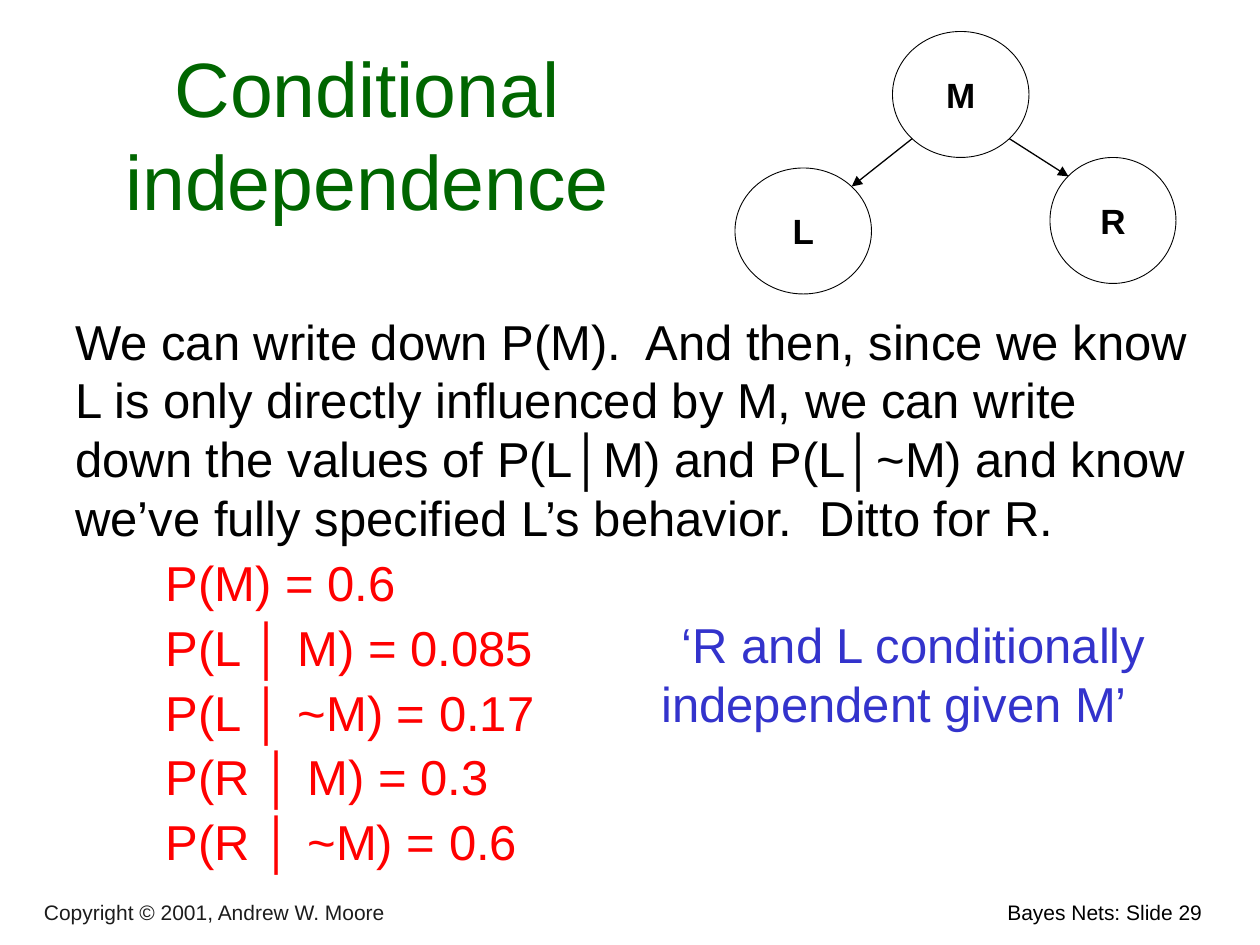
import pptx
import pptx.util
import pptx.dml.color
import pptx.enum.shapes
import pptx.enum.text
import pptx.oxml
import pptx.oxml.ns

Pt = pptx.util.Pt
ALIGN = pptx.enum.text.PP_ALIGN
ANCHOR = pptx.enum.text.MSO_ANCHOR
SHAPE = pptx.enum.shapes.MSO_SHAPE
LINE = pptx.enum.shapes.MSO_CONNECTOR

COLORS = {"black": "000000", "footer": "1C1C1C", "title": "006600",
          "formula": "FF0000", "note": "3333CC"}
FONT = "Arial"
LEADING = 1.2
TAB_GAP = 72

EXPLANATION = ("We can write down P(M).  And then, since we know L is only directly "
               "influenced by M, we can write down the values of P(L│M) and P(L│~M) "
               "and know we’ve fully specified L’s behavior.  Ditto for R.")
FORMULAS = ["P(M) = 0.6", "P(L │ M) = 0.085", "P(L │ ~M) = 0.17",
            "P(R │ M) = 0.3", "P(R │ ~M) = 0.6"]

BODY = {"size": 28, "color": "black"}
FORMULA = {"size": 28, "color": "formula", "indent": 51.6, "before": 3.5}

# box (left, top, width, height), anchor, paragraphs as (text, format)
TEXTS = [
    ((411.84, 510.48, 282.24, 21.6), ANCHOR.TOP,
     [("Bayes Nets: Slide 29", {"size": 12, "color": "black", "align": ALIGN.RIGHT})]),
    ((18, 511.92, 399.6, 20.16), ANCHOR.BOTTOM,
     [("Copyright © 2001, Andrew W. Moore", {"size": 12, "color": "footer"})]),
    ((18, 12.24, 383.76, 120.24), ANCHOR.BOTTOM,
     [("Conditional independence", {"size": 44, "color": "title", "align": ALIGN.CENTER})]),
    ((36, 174.24, 660.24, 327.6), ANCHOR.TOP,
     [(EXPLANATION, BODY)] + [(formula, FORMULA) for formula in FORMULAS]),
    ((342, 347.76, 360, 74.88), ANCHOR.TOP,
     [("‘R and L conditionally independent given M’\t",
       {"size": 28, "color": "note", "align": ALIGN.CENTER, "tabs": 8})]),
]

NODES = {"M": (510, 18, 78, 72), "L": (420, 96, 78, 72), "R": (600, 90, 72, 72)}
EDGES = [((521.28, 79.2), (486.72, 106.56)), ((576.72, 79.2), (610.56, 100.8))]


def rgb(name):
    return pptx.dml.color.RGBColor.from_string(COLORS[name])


def add_xml(parent, tag, **attributes):
    child = pptx.oxml.parse_xml(f"<a:{tag} {pptx.oxml.ns.nsdecls('a')}/>")
    for key, value in attributes.items():
        child.set(key, str(value))
    parent.append(child)
    return child


def write(paragraph, text, style):
    properties = paragraph._p.get_or_add_pPr()
    if "indent" in style:
        properties.set("marL", str(Pt(style["indent"])))
    if "tabs" in style:
        stops = add_xml(properties, "tabLst")
        for index in range(style["tabs"]):
            add_xml(stops, "tab", pos=Pt(index * TAB_GAP), algn="l")
    spacing = {"alignment": style.get("align", ALIGN.LEFT),
               "line_spacing": Pt(style["size"] * LEADING),
               "space_before": Pt(style.get("before", 0))}
    for key, value in spacing.items():
        setattr(paragraph, key, value)
    run = paragraph.add_run()
    run.text = text
    face = {"name": FONT, "size": Pt(style["size"]), "bold": style.get("bold", False)}
    for key, value in face.items():
        setattr(run.font, key, value)
    run.font.color.rgb = rgb(style["color"])


def fill_frame(frame, anchor, paragraphs, wrap=True):
    frame.word_wrap = wrap
    frame.vertical_anchor = anchor
    for index, (text, style) in enumerate(paragraphs):
        paragraph = frame.add_paragraph() if index else frame.paragraphs[0]
        write(paragraph, text, style)


def add_node(slide, label, box):
    node = slide.shapes.add_shape(SHAPE.OVAL, *map(Pt, box))
    node.shadow.inherit = False
    node.fill.background()
    node.line.color.rgb = rgb("black")
    node.line.width = Pt(0.5)
    style = {"size": 20, "color": "black", "bold": True, "align": ALIGN.CENTER}
    fill_frame(node.text_frame, ANCHOR.MIDDLE, [(label, style)], wrap=False)


def add_edge(slide, start, end):
    edge = slide.shapes.add_connector(LINE.STRAIGHT, *map(Pt, start + end))
    edge.line.color.rgb = rgb("black")
    edge.line.width = Pt(0.75)
    add_xml(edge.line._get_or_add_ln(), "tailEnd", type="triangle")
    add_xml(edge._element.spPr, "effectLst")


def main():
    deck = pptx.Presentation()
    deck.slide_width, deck.slide_height = Pt(720), Pt(540)
    slide = deck.slides.add_slide(deck.slide_layouts[6])
    for label, box in NODES.items():
        add_node(slide, label, box)
    for start, end in EDGES:
        add_edge(slide, start, end)
    for box, anchor, paragraphs in TEXTS:
        fill_frame(slide.shapes.add_textbox(*map(Pt, box)).text_frame, anchor, paragraphs)
    deck.save("out.pptx")


if __name__ == "__main__":
    main()
